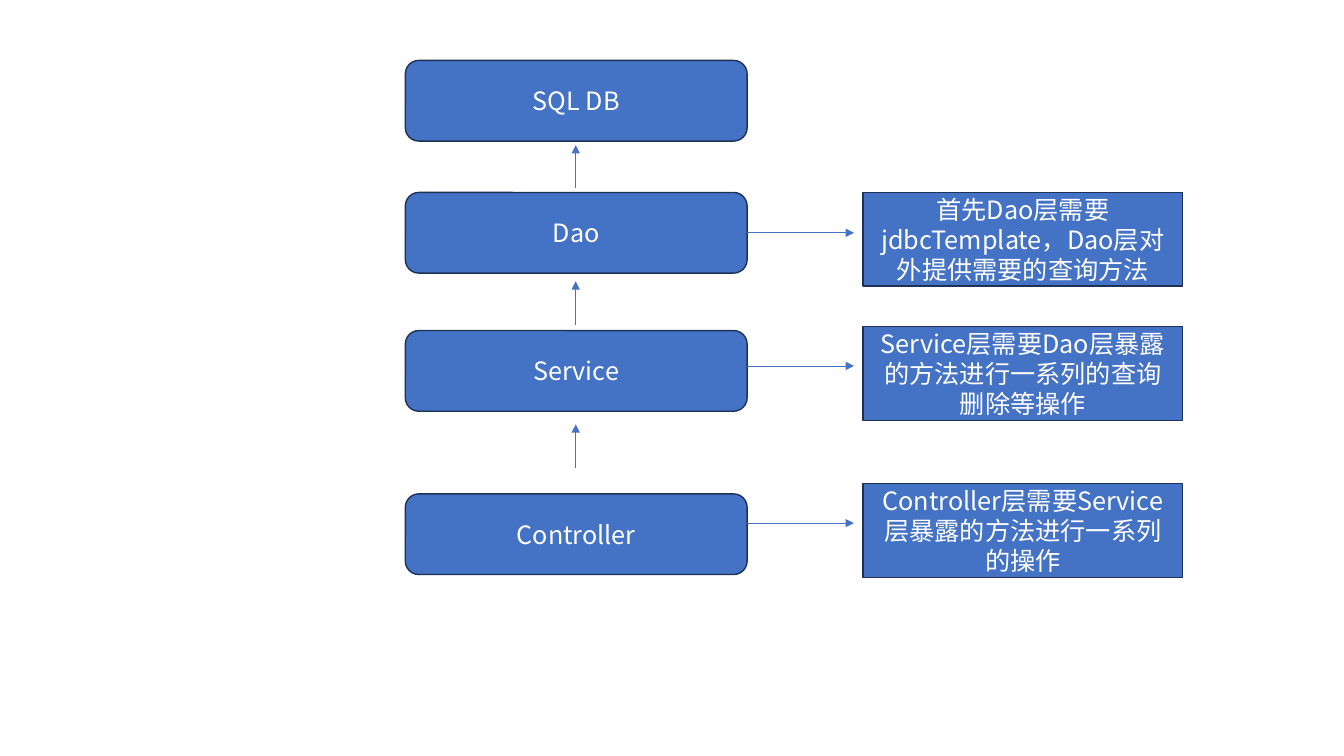
from lxml.etree import SubElement
from pptx import Presentation
from pptx.dml.color import RGBColor
from pptx.enum.shapes import MSO_CONNECTOR, MSO_SHAPE
from pptx.enum.text import MSO_ANCHOR, PP_ALIGN
from pptx.oxml.ns import qn
from pptx.util import Pt

PX = 9144  # 100 px to the inch
FONT = "Noto Sans CJK SC"
BLUE, NAVY, WHITE = "4472C4", "1E3256", "FFFFFF"
color = RGBColor.from_string

LAYER_LEFT, LAYER_WIDTH, LAYER_HEIGHT = 402, 339, 80
NOTE_LEFT, NOTE_WIDTH, NOTE_HEIGHT = 856, 317, 93
LAYER_CENTER = 571
LAYER_RIGHT = LAYER_LEFT + LAYER_WIDTH
UP_LENGTH, SIDE_END = 43, 847

presentation = Presentation()
presentation.slide_width = 1333 * PX
presentation.slide_height = 750 * PX
slide = presentation.slides.add_slide(presentation.slide_layouts[6])


def add_box(kind, left, top, width, height, text):
    shape = slide.shapes.add_shape(kind, left * PX, top * PX, width * PX, height * PX)
    shape.shadow.inherit = False
    shape.fill.solid()
    shape.fill.fore_color.rgb = color(BLUE)
    shape.line.color.rgb = color(NAVY)
    shape.line.width = Pt(1)
    frame = shape.text_frame
    frame.word_wrap = True
    frame.vertical_anchor = MSO_ANCHOR.MIDDLE
    paragraph = frame.paragraphs[0]
    paragraph.alignment = PP_ALIGN.CENTER
    run = paragraph.add_run()
    run.text = text
    run.font.size = Pt(18)
    run.font.name = FONT
    run.font.color.rgb = color(WHITE)
    SubElement(run.font._element, qn("a:ea"), typeface=FONT)
    return shape


def add_arrow(x1, y1, x2, y2):
    arrow = slide.shapes.add_connector(
        MSO_CONNECTOR.STRAIGHT, x1 * PX, y1 * PX, x2 * PX, y2 * PX)
    arrow.line.color.rgb = color(BLUE)
    arrow.line.width = Pt(0.5)
    SubElement(arrow.line._get_or_add_ln(), qn("a:tailEnd"), type="triangle")
    SubElement(arrow._element.spPr, qn("a:effectLst"))
    return arrow


# Layers, from the database down to the controller
layers = {}
for name, top in [("SQL DB", 60), ("Dao", 191), ("Service", 328), ("Controller", 490)]:
    layers[name] = add_box(MSO_SHAPE.ROUNDED_RECTANGLE, LAYER_LEFT, top,
                           LAYER_WIDTH, LAYER_HEIGHT, name)

# Upward arrows between the layers
for tip in (144, 279, 421):
    add_arrow(LAYER_CENTER, tip + UP_LENGTH, LAYER_CENTER, tip)

# Notes, each with an arrow from its layer
notes = [
    ("Dao", 231, 191, "首先Dao层需要jdbcTemplate，Dao层对外提供需要的查询方法"),
    ("Service", 363, 324, "Service层需要Dao层暴露的方法进行一系列的查询删除等操作"),
    ("Controller", 519, 480, "Controller层需要Service层暴露的方法进行一系列的操作"),
]
for name, arrow_y, top, text in notes:
    arrow = add_arrow(LAYER_RIGHT, arrow_y, SIDE_END, arrow_y)
    if name == "Dao":  # the only arrow that leaves at the middle of the side
        arrow.begin_connect(layers[name], 3)
    add_box(MSO_SHAPE.RECTANGLE, NOTE_LEFT, top, NOTE_WIDTH, NOTE_HEIGHT, text)

presentation.save("out.pptx")
